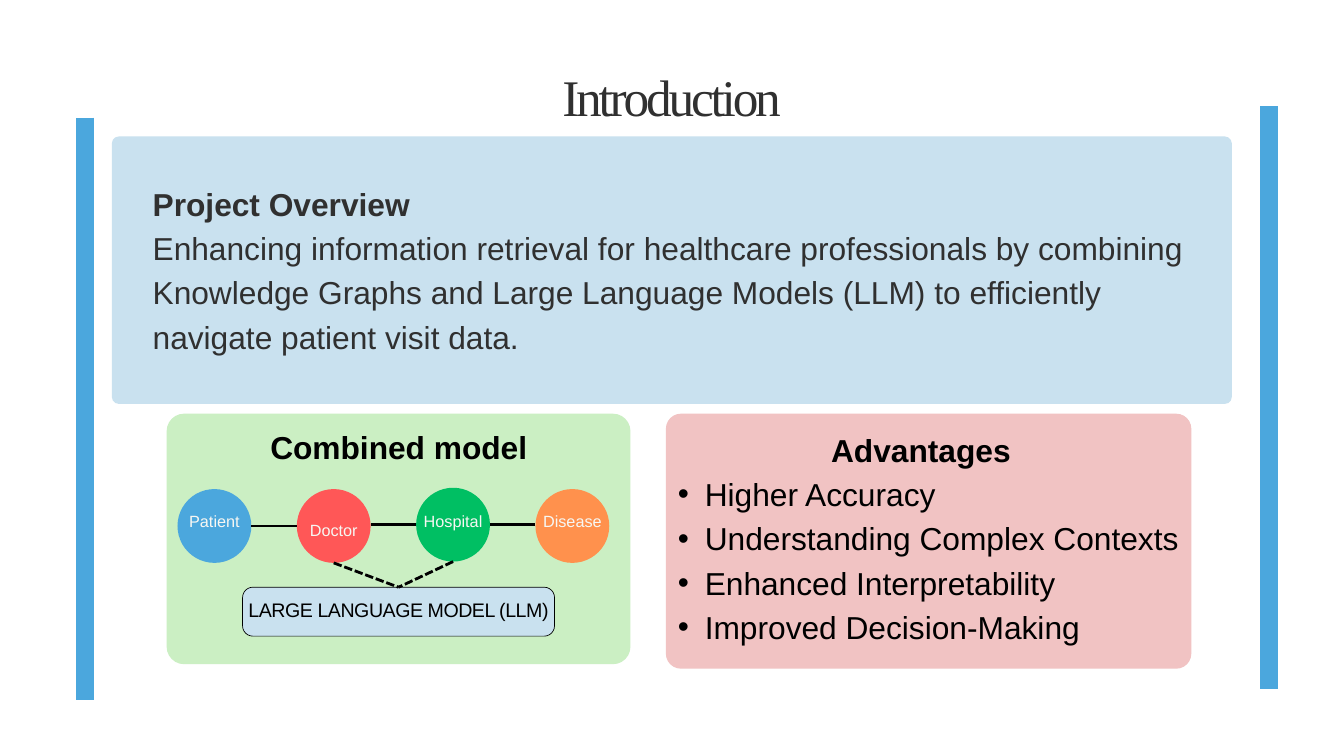
import pptx
import pptx.util
import pptx.dml.color
import pptx.enum.dml
import pptx.enum.shapes
import pptx.enum.text
import pptx.oxml
import pptx.oxml.ns

Cm, Pt = pptx.util.Cm, pptx.util.Pt
SHAPE = pptx.enum.shapes.MSO_SHAPE
ALIGN = pptx.enum.text.PP_ALIGN

# Content
TITLE = "Introduction"
OVERVIEW = [
    ("Project Overview", "heading"),
    ("Enhancing information retrieval for healthcare professionals by combining "
     "Knowledge Graphs and Large Language Models (LLM) to efficiently navigate "
     "patient visit data.", "body"),
]
MODEL_HEADING = "Combined model"
# name, colour, circle top, label top (cm)
NODES = [
    ("Patient", "4BA7DD", 18.49, 19.2),
    ("Doctor", "FF5757", 18.49, 19.53),
    ("Hospital", "00BF63", 18.44, 19.2),
    ("Disease", "FF914D", 18.49, 19.2),
]
LLM_LABEL = "LARGE LANGUAGE MODEL (LLM)"
LLM_SOURCES = ["Doctor", "Hospital"]
ADVANTAGES = ["Higher Accuracy", "Understanding Complex Contexts",
              "Enhanced Interpretability", "Improved Decision-Making"]

# Theme: colours, and text styles as font, size, line spacing, tracking
THEME = {
    "blue": "4BA7DD", "pale_blue": "C9E1EF", "green": "CBEFC3", "pink": "F1C3C3",
    "black": "000000", "bar": 19.5, "link": 3, "outline": 0.75,
    "text": {
        "title": dict(font="Times New Roman", size=55, color="303030", line=51.7, spc=-340),
        "heading": dict(size=34, color="303030", line=47.6, bold=True),
        "body": dict(size=34, color="303030", line=47.6),
        "card": dict(size=34, color="000000", line=47.6, bold=True, align=ALIGN.CENTER),
        "item": dict(size=34, color="000000", line=47.6, bullet=True),
        "node": dict(size=17.4, color="F7F7F3", line=24.4, align=ALIGN.CENTER),
        "llm": dict(size=21, color="000000", line=29.4, spc=-50, align=ALIGN.CENTER),
    },
}
THEME["text"]["title"]["align"] = ALIGN.CENTER

# Layout in cm: left, top, width, height
TITLE_AT = (17.65, 2.95, 15.47, 2.24)
PANELS = [  # place, colour, corner radius
    ((4.23, 5.16, 42.33, 10.11), "pale_blue", 0.26),
    ((6.3, 15.64, 17.53, 9.47), "green", 0.66),
    ((25.17, 15.64, 19.86, 9.64), "pink", 0.57),
]
OVERVIEW_AT = (5.77, 6.73, 39.27, 6.81)
MODEL_HEADING_AT = (9.55, 15.93, 11.05, 1.8)
ADVANTAGES_AT = (24.61, 16.03, 20.4, 8.46)
LLM_AT = (9.17, 22.2, 11.79, 1.85)
LLM_TEXT_AT = (9.32, 22.45, 11.48, 1.12)
NODE_LEFT, NODE_PITCH, NODE_SIZE = 6.71, 4.51, 2.79
LABEL_W, LABEL_H = 3.6, 0.94
BARS = [(3.2, 4.45), (47.96, 4.01)]
BAR_LENGTH = 22.02


def rgb(value):
    return pptx.dml.color.RGBColor.from_string(value)


def add_panel(s, kind, at, color, radius=None, outline=None):
    sp = s.shapes.add_shape(kind, *map(Cm, at))
    sp.shadow.inherit = False
    sp.fill.solid()
    sp.fill.fore_color.rgb = rgb(color)
    if radius:
        sp.adjustments[0] = radius / min(at[2:])
    if outline:
        sp.line.color.rgb = rgb(THEME["black"])
        sp.line.width = Pt(outline)
    else:
        sp.line.fill.background()
    return sp


def add_line(s, start, end, color, width, dashed=False):
    line = s.shapes.add_connector(pptx.enum.shapes.MSO_CONNECTOR.STRAIGHT,
                                  *map(Cm, start + end))
    line.line.color.rgb = rgb(color)
    line.line.width = Pt(width)
    if dashed:
        line.line.dash_style = pptx.enum.dml.MSO_LINE.SQUARE_DOT
    pptx.oxml.ns.qn("a:effectLst")
    line.element.spPr.append(pptx.oxml.parse_xml(
        "<a:effectLst %s/>" % pptx.oxml.ns.nsdecls("a")))
    return line


def set_bullet(p, bullet):
    pPr = p._p.get_or_add_pPr()
    pPr.set("marL", str(Cm(2.03) if bullet else 0))
    pPr.set("indent", str(Cm(-1.02) if bullet else 0))
    tag = 'buChar %s char="•"' if bullet else "buNone %s"
    pPr.append(pptx.oxml.parse_xml("<a:%s/>" % (tag % pptx.oxml.ns.nsdecls("a"))))


def write(sp, at, paragraphs):
    """Place a text shape and fill it with (text, style) paragraphs."""
    sp.left, sp.top, sp.width, sp.height = map(Cm, at)
    tf = sp.text_frame
    frame = dict(word_wrap=True, auto_size=pptx.enum.text.MSO_AUTO_SIZE.NONE,
                 vertical_anchor=pptx.enum.text.MSO_ANCHOR.TOP,
                 margin_left=0, margin_top=0, margin_right=0, margin_bottom=0)
    for name, value in frame.items():
        setattr(tf, name, value)
    for i, (text, style) in enumerate(paragraphs):
        look = THEME["text"][style]
        p = tf.add_paragraph() if i else tf.paragraphs[0]
        set_bullet(p, look.get("bullet"))
        layout = dict(alignment=look.get("align", ALIGN.LEFT), line_spacing=Pt(look["line"]),
                      space_before=Pt(0), space_after=Pt(0))
        for name, value in layout.items():
            setattr(p, name, value)
        r = p.add_run()
        r.text = text
        font = dict(name=look.get("font", "Arial"), size=Pt(look["size"]),
                    bold=look.get("bold", False))
        for name, value in font.items():
            setattr(r.font, name, value)
        r.font.color.rgb = rgb(look["color"])
        if "spc" in look:
            r._r.get_or_add_rPr().set("spc", str(look["spc"]))


def add_text(s, at, text, style):
    write(s.shapes.add_textbox(0, 0, 0, 0), at, [(text, style)])


def main():
    prs = pptx.Presentation()
    prs.slide_width, prs.slide_height = Cm(50.8), Cm(28.58)
    s = prs.slides.add_slide(prs.slide_layouts[3])
    title, overview, advantages = s.placeholders

    # Panels, with the title and body text brought in front of them
    for at, color, radius in PANELS:
        add_panel(s, SHAPE.ROUNDED_RECTANGLE, at, THEME[color], radius)
    for ph, at, paragraphs in [
        (title, TITLE_AT, [(TITLE, "title")]),
        (overview, OVERVIEW_AT, OVERVIEW),
        (advantages, ADVANTAGES_AT,
         [("Advantages", "card")] + [(text, "item") for text in ADVANTAGES]),
    ]:
        s.shapes.element.append(ph.element)
        write(ph, at, paragraphs)

    # Combined model: nodes and their labels
    add_text(s, MODEL_HEADING_AT, MODEL_HEADING, "card")
    lefts = [NODE_LEFT + i * NODE_PITCH for i in range(len(NODES))]
    bottoms = {}
    for x, (name, color, top, label_top) in zip(lefts, NODES):
        add_panel(s, SHAPE.OVAL, (x, top, NODE_SIZE, NODE_SIZE), color)
        center = x + NODE_SIZE / 2
        add_text(s, (center - LABEL_W / 2, label_top, LABEL_W, LABEL_H), name, "node")
        bottoms[name] = (center, top + NODE_SIZE)

    # Links between neighbouring nodes
    for i in range(len(NODES) - 1):
        y = min(NODES[i][2], NODES[i + 1][2]) + NODE_SIZE / 2
        add_line(s, (lefts[i] + NODE_SIZE, y), (lefts[i + 1], y),
                 THEME["black"], THEME["link"])

    # Language model box, joined to its source nodes
    llm = add_panel(s, SHAPE.ROUNDED_RECTANGLE, LLM_AT, THEME["pale_blue"], 0.39,
                    THEME["outline"])
    add_text(s, LLM_TEXT_AT, LLM_LABEL, "llm")
    for name in LLM_SOURCES:
        line = add_line(s, bottoms[name], LLM_AT[:2], THEME["black"], THEME["link"], True)
        line.end_connect(llm, 0)

    # Side bars
    for x, y in BARS:
        add_line(s, (x, y), (x, y + BAR_LENGTH), THEME["blue"], THEME["bar"])

    prs.save("out.pptx")


if __name__ == "__main__":
    main()
